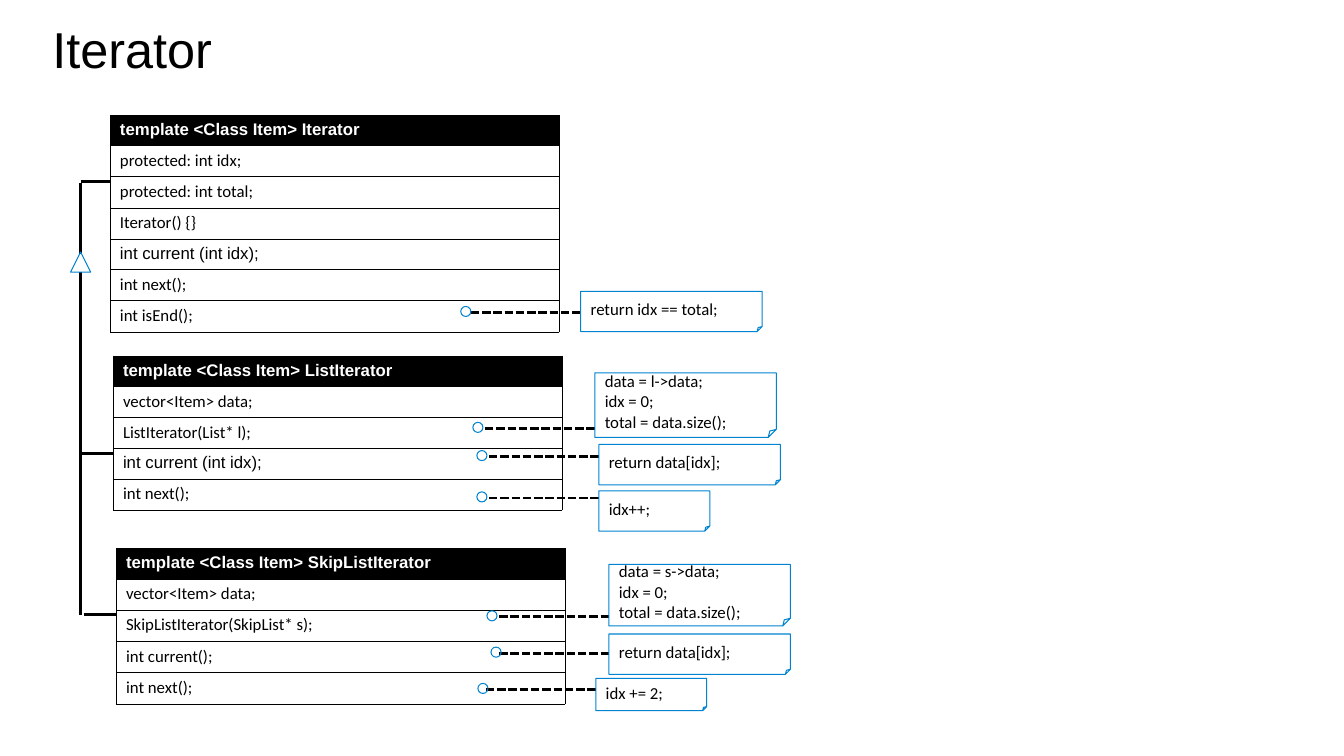
from dataclasses import dataclass

from lxml.etree import SubElement
from pptx import Presentation
from pptx.dml.color import RGBColor
from pptx.enum.dml import MSO_LINE
from pptx.enum.shapes import MSO_CONNECTOR, MSO_SHAPE
from pptx.enum.text import MSO_ANCHOR, MSO_AUTO_SIZE, PP_ALIGN
from pptx.oxml import parse_xml
from pptx.oxml.ns import nsdecls, qn
from pptx.util import Inches, Pt

COLORS = {"black": "000000", "white": "FFFFFF", "blue": "0084D1"}
CLASS_W = 4.45
LINK_W = 1.1
RING = 0.1
TRUNK_X = 0.8
ROW_H = {"Arial": 0.29, "Calibri": 0.31}


@dataclass
class ClassBox:
    x: float
    y: float
    name: str
    members: list[str]
    arial_members: tuple[str, ...] = ()


@dataclass
class Note:
    x: float
    y: float
    w: float
    h: float
    ring_x: float
    link_y: float
    lines: list[str]


CLASSES = [
    ClassBox(1.09, 1.14, "Iterator",
             ["protected: int idx;", "protected: int total;", "Iterator() {}",
              "int current (int idx);", "int next();", "int isEnd();"],
             ("int current (int idx);",)),
    ClassBox(1.12, 3.53, "ListIterator",
             ["vector<Item> data;", "ListIterator(List* l);",
              "int current (int idx);", "int next();"],
             ("int current (int idx);",)),
    ClassBox(1.15, 5.44, "SkipListIterator",
             ["vector<Item> data;", "SkipListIterator(SkipList* s);",
              "int current();", "int next();"]),
]

NOTES = [
    Note(5.76, 2.89, 1.8, 0.4, 4.57, 3.1, ["return idx == total;"]),
    Note(5.9, 3.7, 1.8, 0.64, 4.69, 4.25,
         ["data = l->data;", "idx = 0;", "total = data.size();"]),
    Note(5.94, 4.41, 1.8, 0.4, 4.73, 4.53, ["return data[idx];"]),
    Note(5.94, 4.87, 1.1, 0.4, 4.73, 4.94, ["idx++;"]),
    Note(6.04, 5.6, 1.8, 0.61, 4.83, 6.12,
         ["data = s->data;", "idx = 0;", "total = data.size();"]),
    Note(6.04, 6.29, 1.8, 0.4, 4.87, 6.48, ["return data[idx];"]),
    Note(5.91, 6.73, 1.1, 0.32, 4.74, 6.84, ["idx += 2;"]),
]

INHERITANCE = [
    (TRUNK_X, 1.8, 1.09, 1.8),
    (TRUNK_X, 1.82, TRUNK_X, 2.52),
    (TRUNK_X, 2.7, TRUNK_X, 6.1),
    (TRUNK_X, 4.5, 1.12, 4.5),
    (0.83, 6.1, 1.15, 6.1),
]


def rgb(name: str) -> RGBColor:
    return RGBColor.from_string(COLORS[name])


def write(p, text: str, *, size: float = 12, font: str = "Calibri",
          color: str = "black", bold: bool = False) -> None:
    p.alignment = PP_ALIGN.LEFT
    r = p.add_run()
    r.text = text
    r.font.size = Pt(size)
    r.font.name = font
    r.font.bold = bold
    r.font.color.rgb = rgb(color)


def add_line(s, x1: float, y1: float, x2: float, y2: float,
             dashed: bool = False) -> None:
    ln = s.shapes.add_connector(MSO_CONNECTOR.STRAIGHT, Inches(x1), Inches(y1),
                                Inches(x2), Inches(y2))
    ln.line.color.rgb = rgb("black")
    ln.line.width = Pt(0)
    if dashed:
        ln.line.dash_style = MSO_LINE.SQUARE_DOT
    SubElement(ln._element.spPr, qn("a:effectLst"))


def add_outline(s, kind: MSO_SHAPE, x: float, y: float, w: float, h: float):
    sp = s.shapes.add_shape(kind, Inches(x), Inches(y), Inches(w), Inches(h))
    sp.shadow.inherit = False
    sp.fill.background()
    sp.line.color.rgb = rgb("blue")
    sp.line.width = Pt(0)
    return sp


def set_borders(cell) -> None:
    tc_pr = cell._tc.get_or_add_tcPr()
    for i, side in enumerate(("lnL", "lnR", "lnT", "lnB")):
        tc_pr.insert(i, parse_xml(
            f'<a:{side} {nsdecls("a")} w="720"><a:solidFill>'
            f'<a:srgbClr val="{COLORS["black"]}"/></a:solidFill></a:{side}>'))


def add_class(s, box: ClassBox) -> None:
    rows = [(f"template <Class Item> {box.name}", "Arial")]
    rows += [(m, "Arial" if m in box.arial_members else "Calibri")
             for m in box.members]
    height = sum(ROW_H[font] for _, font in rows)
    tbl = s.shapes.add_table(len(rows), 1, Inches(box.x), Inches(box.y),
                             Inches(CLASS_W), Inches(height)).table
    for i, (text, font) in enumerate(rows):
        header = i == 0
        tbl.rows[i].height = Inches(ROW_H[font])
        cell = tbl.cell(i, 0)
        cell.fill.solid()
        cell.fill.fore_color.rgb = rgb("black" if header else "white")
        set_borders(cell)
        write(cell.text_frame.paragraphs[0], text, font=font, bold=header,
              color="white" if header else "black")


def set_fold(sp, ratio: float) -> None:
    av_lst = sp._element.spPr.find(qn("a:prstGeom")).get_or_add_avLst()
    SubElement(av_lst, qn("a:gd"), name="adj", fmla=f"val {ratio * 100000:.0f}")


def add_note(s, note: Note) -> None:
    link_x = note.x - LINK_W + 0.01
    add_line(s, link_x, note.link_y, link_x + LINK_W, note.link_y, dashed=True)
    add_outline(s, MSO_SHAPE.OVAL, note.ring_x, note.link_y - 0.06, RING, RING)
    sp = add_outline(s, MSO_SHAPE.FOLDED_CORNER, note.x, note.y, note.w, note.h)
    set_fold(sp, 0.125)
    tf = sp.text_frame
    tf.word_wrap = True
    tf.vertical_anchor = MSO_ANCHOR.MIDDLE
    for i, text in enumerate(note.lines):
        write(tf.add_paragraph() if i else tf.paragraphs[0], text)


def add_title(s, text: str) -> None:
    title = s.shapes.title
    title.left, title.top = Inches(0.52), Inches(0.24)
    title.width, title.height = Inches(1.78), Inches(0.56)
    tf = title.text_frame
    tf.margin_left = tf.margin_top = tf.margin_right = tf.margin_bottom = 0
    tf.vertical_anchor = MSO_ANCHOR.MIDDLE
    tf.auto_size = MSO_AUTO_SIZE.SHAPE_TO_FIT_TEXT
    p = tf.paragraphs[0]
    p.line_spacing = 0.9
    write(p, text, size=36, font="Arial")


def main() -> None:
    prs = Presentation()
    prs.slide_width, prs.slide_height = Inches(13.33), Inches(7.5)
    s = prs.slides.add_slide(prs.slide_layouts[5])
    add_title(s, "Iterator")
    for box in CLASSES:
        add_class(s, box)
    for ends in INHERITANCE:
        add_line(s, *ends)
    add_outline(s, MSO_SHAPE.ISOSCELES_TRIANGLE, TRUNK_X - 0.1, 2.5, 0.2, 0.2)
    for note in NOTES:
        add_note(s, note)
    prs.save("out.pptx")


if __name__ == "__main__":
    main()
